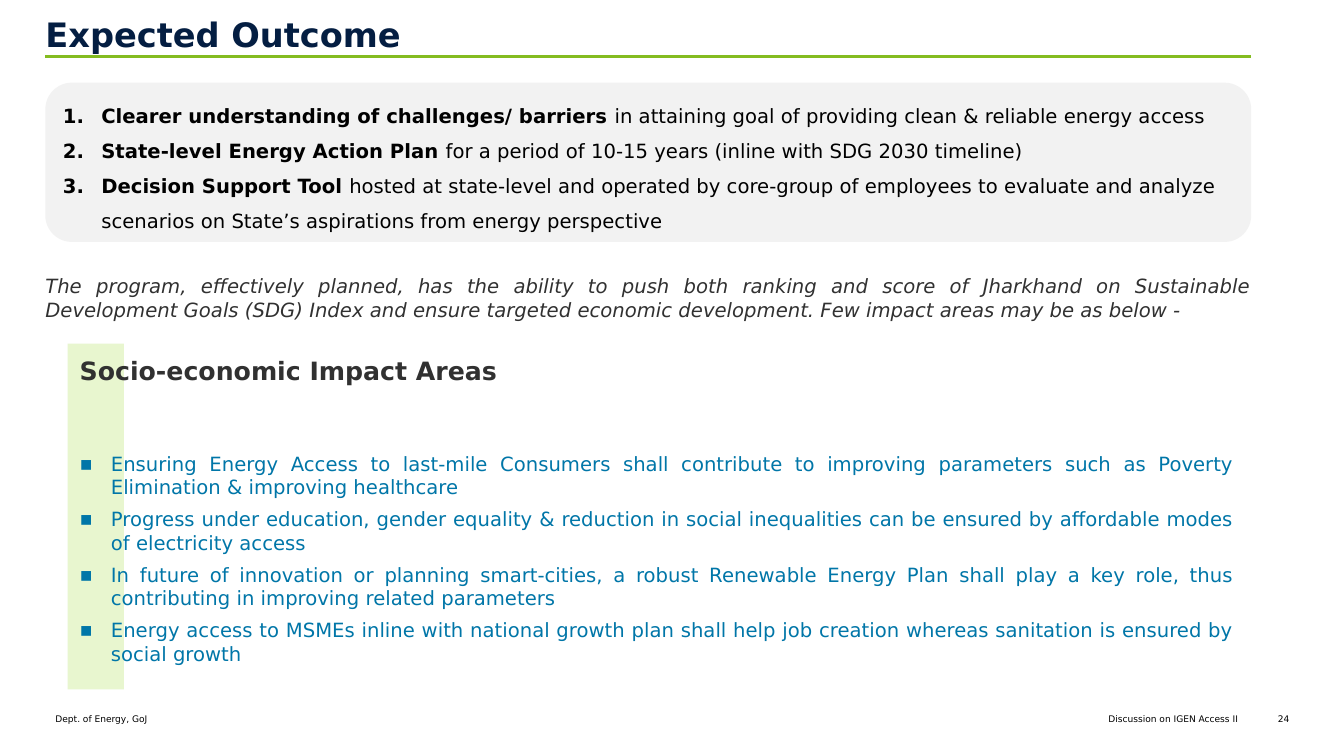
from dataclasses import dataclass

import lxml.etree
import pptx
import pptx.dml.color
import pptx.enum.shapes
import pptx.enum.text
import pptx.oxml.ns
import pptx.util

Inches = pptx.util.Inches
Align = pptx.enum.text.PP_ALIGN
Anchor = pptx.enum.text.MSO_ANCHOR
Preset = pptx.enum.shapes.MSO_SHAPE
qn = pptx.oxml.ns.qn

FONT = "DejaVu Sans"
COLORS = {
    "black": "000000",
    "navy": "041E42",
    "grey": "313131",
    "blue": "0076A8",
    "green": "84BC20",
    "pale_green": "E8F6CF",
    "panel": "F2F2F2",
}


@dataclass(frozen=True)
class Frame:
    left: float
    top: float
    width: float
    height: float

    def lengths(self) -> tuple:
        return tuple(Inches(n) for n in (self.left, self.top, self.width, self.height))


@dataclass(frozen=True)
class Style:
    size: float
    color: str
    bold: bool | None = None
    italic: bool | None = None
    align: Align = Align.LEFT


@dataclass(frozen=True)
class Label:
    text: str
    frame: Frame
    style: Style


@dataclass(frozen=True)
class Outcome:
    lead: str
    detail: str


FOOTER = Style(6.5, "black")
FOOTER_RIGHT = Style(6.5, "black", align=Align.RIGHT)
TITLE = Style(24, "navy", bold=True)
HEADING = Style(18, "grey", bold=True)
SUMMARY = Style(14, "grey", italic=True, align=Align.JUSTIFY)
IMPACT = Style(14, "blue", align=Align.JUSTIFY)
OUTCOME = Style(14, "black")

TITLE_FRAME = Frame(0.45, 0.14, 11.68, 0.56)
PANEL_FRAME = Frame(0.45, 0.82, 11.96, 1.58)
BAND_FRAME = Frame(0.67, 3.41, 0.56, 3.43)
IMPACT_FRAME = Frame(0.79, 4.48, 11.45, 2.14)

LABELS = [
    Label("Discussion on IGEN Access II", Frame(6.93, 7.08, 5.35, 0.11), FOOTER_RIGHT),
    Label("Dept. of Energy, GoJ", Frame(0.55, 7.08, 5.86, 0.11), FOOTER),
    Label("24", Frame(12.45, 7.08, 0.34, 0.11), FOOTER_RIGHT),
    Label(
        "The program, effectively planned, has the ability to push both ranking and score of "
        "Jharkhand on Sustainable Development Goals (SDG) Index and ensure targeted economic "
        "development. Few impact areas may be as below -",
        Frame(0.45, 2.72, 11.96, 0.47),
        SUMMARY,
    ),
    Label("Socio-economic Impact Areas", Frame(0.79, 3.53, 4.3, 0.3), HEADING),
]

OUTCOMES = [
    Outcome(
        "Clearer understanding of challenges/ barriers ",
        "in attaining goal of providing clean & reliable energy access",
    ),
    Outcome(
        "State-level Energy Action Plan ",
        "for a period of 10-15 years (inline with SDG 2030 timeline)",
    ),
    Outcome(
        "Decision Support Tool ",
        "hosted at state-level and operated by core-group of employees to evaluate and analyze "
        "scenarios on State’s aspirations from energy perspective",
    ),
]

IMPACTS = [
    "Ensuring Energy Access to last-mile Consumers shall contribute to improving parameters "
    "such as Poverty Elimination & improving healthcare",
    "Progress under education, gender equality & reduction in social inequalities can be "
    "ensured by affordable modes of electricity access",
    "In future of innovation or planning smart-cities, a robust Renewable Energy Plan shall "
    "play a key role, thus contributing in improving related parameters",
    "Energy access to MSMEs inline with national growth plan shall help job creation whereas "
    "sanitation is ensured by social growth",
]


def rgb(name: str) -> pptx.dml.color.RGBColor:
    return pptx.dml.color.RGBColor.from_string(COLORS[name])


def format_para(para, style: Style) -> None:
    para.alignment = style.align
    font = para.font
    font.name = FONT
    font.size = pptx.util.Pt(style.size)
    font.bold = style.bold
    font.italic = style.italic
    font.color.rgb = rgb(style.color)


def add_marker(para, indent: float, tag: str, **attributes: str) -> None:
    props = para._p.get_or_add_pPr()
    props.set("marL", str(Inches(indent)))
    props.set("indent", str(-Inches(indent)))
    lxml.etree.SubElement(props, qn("a:buFont"), typeface=FONT)
    lxml.etree.SubElement(props, qn(tag), **attributes)


def set_up_text(box, inset: float = 0, anchor: Anchor = Anchor.TOP):
    frame = box.text_frame
    frame.word_wrap = True
    frame.auto_size = pptx.enum.text.MSO_AUTO_SIZE.NONE
    frame.vertical_anchor = anchor
    frame.margin_left = frame.margin_right = Inches(inset)
    frame.margin_top = frame.margin_bottom = Inches(inset)
    return frame


def place(box, frame: Frame) -> None:
    box.left, box.top, box.width, box.height = frame.lengths()


def write_label(box, text: str, style: Style) -> None:
    frame = set_up_text(box)
    frame.text = text
    format_para(frame.paragraphs[0], style)


def add_filled(page, preset: Preset, frame: Frame, color: str):
    box = page.shapes.add_shape(preset, *frame.lengths())
    box.shadow.inherit = False
    box.fill.solid()
    box.fill.fore_color.rgb = rgb(color)
    box.line.fill.background()
    return box


def add_title_rule(page) -> None:
    rule = page.shapes.add_connector(
        pptx.enum.shapes.MSO_CONNECTOR.STRAIGHT,
        Inches(0.45), Inches(0.56), Inches(12.41), Inches(0.56),
    )
    rule.line.color.rgb = rgb("green")
    rule.line.width = pptx.util.Pt(2.25)
    lxml.etree.SubElement(rule.element.spPr, qn("a:effectLst"))


def write_outcomes(panel) -> None:
    frame = set_up_text(panel, 0.1, Anchor.MIDDLE)
    for index, outcome in enumerate(OUTCOMES):
        para = frame.add_paragraph() if index else frame.paragraphs[0]
        para.line_spacing = 1.5
        add_marker(para, 0.38, "a:buAutoNum", type="arabicPeriod")
        format_para(para, OUTCOME)
        for text, bold in ((outcome.lead, True), (outcome.detail, False)):
            span = para.add_run()
            span.text = text
            span.font.bold = bold


def write_impacts(body) -> None:
    frame = set_up_text(body)
    for index, text in enumerate(IMPACTS):
        para = frame.add_paragraph() if index else frame.paragraphs[0]
        para.text = text
        para.space_before = pptx.util.Pt(6 if index else 0)
        add_marker(para, 0.31, "a:buChar", char="▪")
        format_para(para, IMPACT)


def main() -> None:
    deck = pptx.Presentation()
    deck.slide_width, deck.slide_height = Inches(13.33), Inches(7.5)
    page = deck.slides.add_slide(deck.slide_layouts[1])

    title, body = page.shapes.title, page.placeholders[1]
    place(title, TITLE_FRAME)
    write_label(title, "Expected Outcome", TITLE)
    add_title_rule(page)

    write_outcomes(add_filled(page, Preset.ROUNDED_RECTANGLE, PANEL_FRAME, "panel"))
    add_filled(page, Preset.RECTANGLE, BAND_FRAME, "pale_green")

    place(body, IMPACT_FRAME)
    write_impacts(body)
    body.element.getparent().append(body.element)

    for label in LABELS:
        box = page.shapes.add_textbox(*label.frame.lengths())
        write_label(box, label.text, label.style)

    deck.save("out.pptx")


if __name__ == "__main__":
    main()
